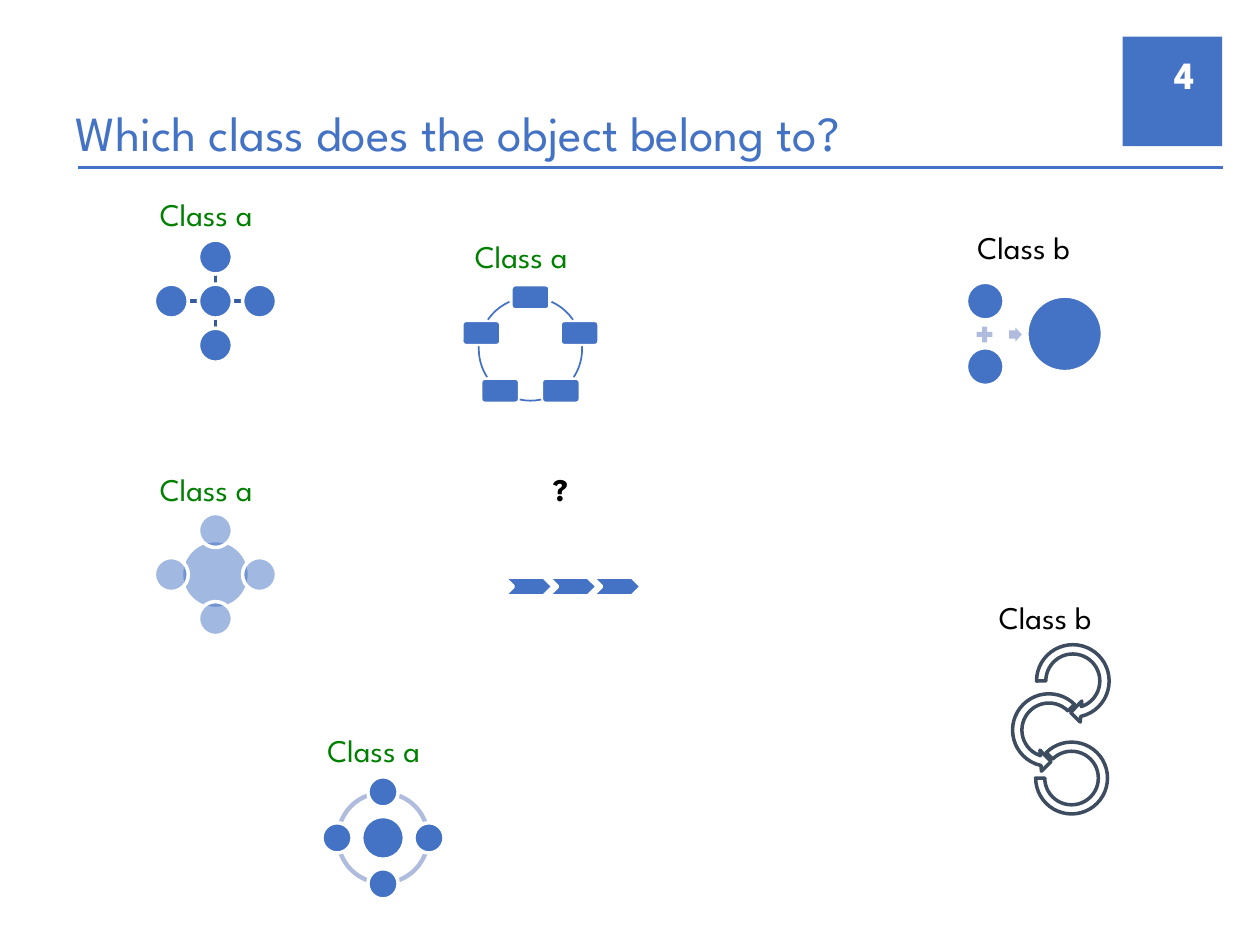
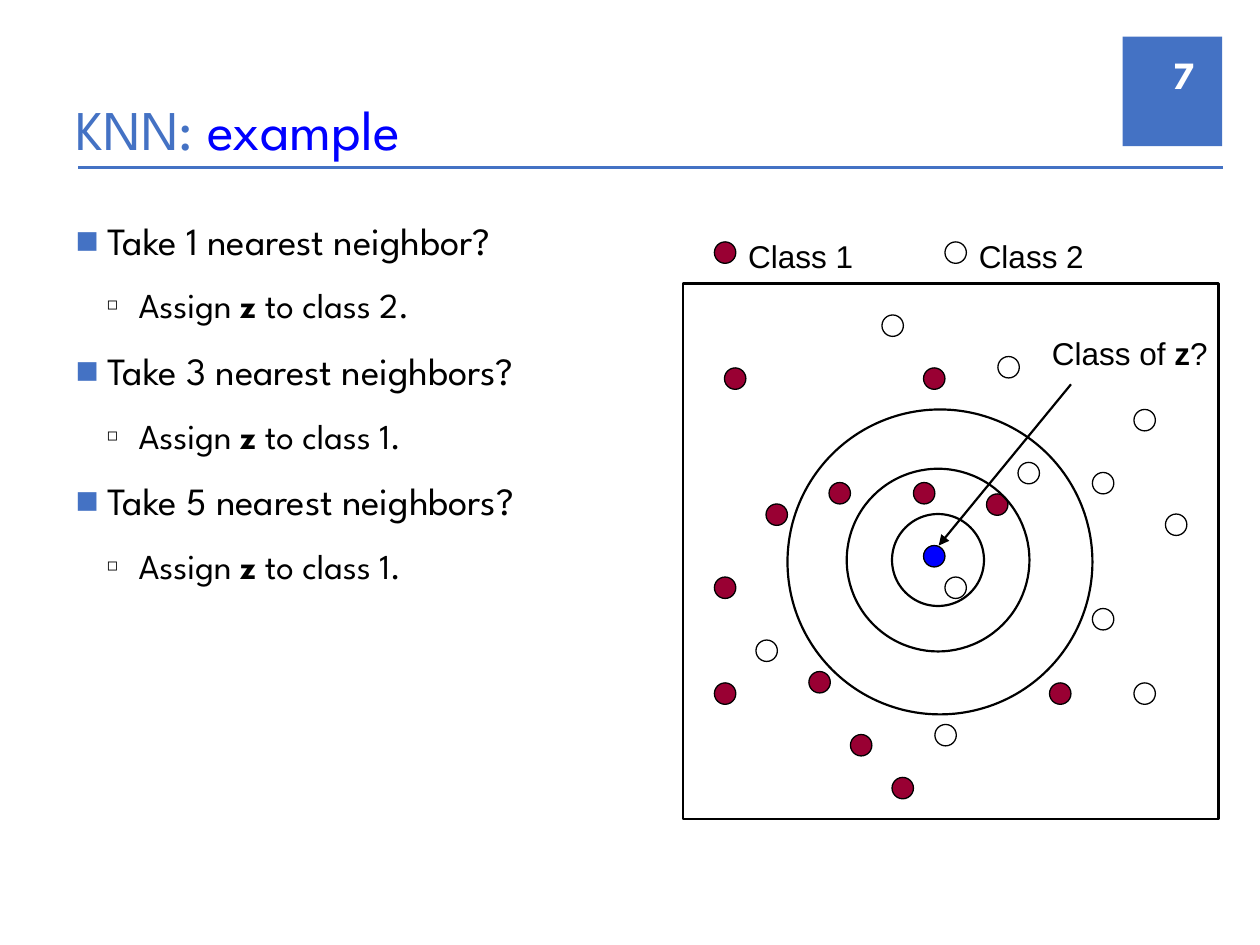
"""Build two slides about nearest-neighbour classification."""
import math
from dataclasses import dataclass
from typing import NamedTuple, Optional

import pptx
import pptx.dml.color
import pptx.enum.shapes
import pptx.enum.text
import pptx.oxml.ns
import pptx.util
from lxml import etree

Inches = pptx.util.Inches
SHAPE = pptx.enum.shapes.MSO_SHAPE
ALIGN = pptx.enum.text.PP_ALIGN
ANCHOR = pptx.enum.text.MSO_ANCHOR
qn = pptx.oxml.ns.qn

BLUE, PALE, DEEP, SLATE = "4472C4", "B0BCDE", "365B9D", "3E4C60"
WHITE, BLACK, GREEN, RED, PURE_BLUE = "FFFFFF", "000000", "008000", "990033", "0000FF"
FONT, PLOT_FONT = "League Spartan", "Arial"
DIRECTIONS = [(0, -1), (1, 0), (0, 1), (-1, 0)]
DOT = 0.17


class Part(NamedTuple):
    text: str
    color: str = BLACK
    bold: bool = False


@dataclass
class Look:
    fill: Optional[str] = None
    line: Optional[str] = None
    width: float = 2
    alpha: int = 100


@dataclass
class Label:
    text: str
    x: float
    y: float
    w: float = 1.08
    color: str = GREEN
    bold: bool = False


SOLID = Look(BLUE, WHITE)
GLASS = Look(BLUE, WHITE, alpha=50)
PLAIN = Look(PALE)
OUTLINE = Look(WHITE, SLATE)

LABELS = [
    Label("?", 4.29, 3.68, 0.67, BLACK, True),
    Label("Class a", 2.5, 5.75),
    Label("Class b", 7.83, 4.7, 1.17, BLACK),
    Label("Class b", 7.66, 1.76, 1.17, BLACK),
    Label("Class a", 3.67, 1.83),
    Label("Class a", 1.17, 3.68),
    Label("Class a", 1.17, 1.5),
]
CLASS_1 = [(6.58, 3.83), (6.08, 4), (6.42, 5.33), (7.83, 3.92), (5.75, 2.92), (5.67, 5.42),
           (7.25, 3.83), (7.33, 2.92), (5.67, 4.58), (8.33, 5.42), (6.75, 5.83), (7.08, 6.17)]
CLASS_2 = [(9, 3.25), (7.5, 4.58), (8.67, 4.83), (7.42, 5.75), (9.25, 4.08), (8.08, 3.67),
           (7, 2.5), (6, 5.08), (9, 5.42), (8.67, 3.75), (7.92, 2.83)]
QUESTIONS = [("1 nearest neighbor", 2), ("3 nearest neighbors", 1), ("5 nearest neighbors", 1)]


def rgb(color: str):
    return pptx.dml.color.RGBColor.from_string(color)


def draw(shapes, kind, x: float, y: float, w: float, h: float, look: Look, adj=()):
    sp = shapes.add_shape(kind, Inches(x), Inches(y), Inches(w), Inches(h))
    sp.shadow.inherit = False
    for i, value in enumerate(adj):
        sp.adjustments[i] = value
    if look.fill:
        sp.fill.solid()
        sp.fill.fore_color.rgb = rgb(look.fill)
        if look.alpha < 100:
            color = sp._element.spPr.find(qn("a:solidFill"))[0]
            etree.SubElement(color, qn("a:alpha"), val=str(look.alpha * 1000))
    else:
        sp.fill.background()
    if look.line:
        sp.line.color.rgb = rgb(look.line)
        sp.line.width = pptx.util.Pt(look.width)
    else:
        sp.line.fill.background()
    return sp


def circle(shapes, cx: float, cy: float, d: float, look: Look):
    return draw(shapes, SHAPE.OVAL, cx - d / 2, cy - d / 2, d, d, look)


def connect(shapes, x1: float, y1: float, x2: float, y2: float, color: str, width: float, arrow=False):
    c = shapes.add_connector(pptx.enum.shapes.MSO_CONNECTOR.STRAIGHT,
                             Inches(x1), Inches(y1), Inches(x2), Inches(y2))
    c.line.color.rgb = rgb(color)
    c.line.width = pptx.util.Pt(width)
    if arrow:
        etree.SubElement(c.line._get_or_add_ln(), qn("a:tailEnd"), type="triangle")
    etree.SubElement(c._element.spPr, qn("a:effectLst"))


def write(p, parts: list[Part], size: float, font: str = FONT):
    for part in parts:
        r = p.add_run()
        r.text = part.text
        r.font.size = pptx.util.Pt(size)
        r.font.name = font
        r.font.bold = part.bold
        r.font.color.rgb = rgb(part.color)


def text_box(shapes, x: float, y: float, w: float, parts: list[Part], size: float = 18, font: str = FONT):
    tb = shapes.add_textbox(Inches(x), Inches(y), Inches(w), Inches(0.4))
    tb.text_frame.word_wrap = True
    write(tb.text_frame.paragraphs[0], parts, size, font)
    return tb


def place(ph, x: float, y: float, w: float, h: float, anchor):
    ph.left, ph.top, ph.width, ph.height = Inches(x), Inches(y), Inches(w), Inches(h)
    tf = ph.text_frame
    tf.word_wrap = True
    tf.auto_size = pptx.enum.text.MSO_AUTO_SIZE.NONE
    tf.vertical_anchor = anchor
    return tf


def start_slide(prs, layout: int, title: list[Part], size: float, number: int):
    s = prs.slides.add_slide(prs.slide_layouts[layout])
    draw(s.shapes, SHAPE.RECTANGLE, 8.91, 0.29, 0.79, 0.87, Look(BLUE))
    p = place(s.shapes.title, 0.5, 0.5, 9.25, 0.83, ANCHOR.BOTTOM).paragraphs[0]
    p.alignment = ALIGN.LEFT
    write(p, title, size)
    connect(s.shapes, 0.62, 1.33, 9.71, 1.33, BLUE, 2)
    tf = text_box(s.shapes, 9.03, 0.39, 0.55, [Part(str(number), WHITE, True)], 22).text_frame
    tf.vertical_anchor = ANCHOR.MIDDLE
    tf.paragraphs[0].alignment = ALIGN.RIGHT
    return s


def satellites(shapes, cx: float, cy: float, core: float, d: float, radius: float, look: Look):
    circle(shapes, cx, cy, core, look)
    for dx, dy in DIRECTIONS:
        circle(shapes, cx + radius * dx, cy + radius * dy, d, look)


def spoked_hub(shapes, cx: float, cy: float):
    for dx, dy in DIRECTIONS:
        connect(shapes, cx + 0.13 * dx, cy + 0.13 * dy, cx + 0.22 * dx, cy + 0.22 * dy, DEEP, 2)
    satellites(shapes, cx, cy, 0.27, 0.27, 0.35, SOLID)


def box_cycle(shapes, cx: float, cy: float):
    radius = 0.41
    for i in range(5):
        angle = math.radians(72 * i - 90)
        x, y = cx + radius * math.cos(angle), cy + radius * math.sin(angle)
        draw(shapes, SHAPE.ROUNDED_RECTANGLE, x - 0.155, y - 0.1, 0.31, 0.2, SOLID)
    for begin, end in [(294, 325.5), (357, 33), (78, 102), (147, 183), (214.5, 246)]:
        draw(shapes, SHAPE.ARC, cx - radius, cy - radius, 2 * radius, 2 * radius,
             Look(line=BLUE, width=1), (begin * 0.6, end * 0.6))


def ring_hub(shapes, cx: float, cy: float):
    for begin in (108, 54, 0, 162):
        draw(shapes, SHAPE.BLOCK_ARC, cx - 0.375, cy - 0.375, 0.75, 0.75, PLAIN,
             (begin, (begin + 54) % 216, 0.046))
    satellites(shapes, cx, cy, 0.34, 0.24, 0.365, SOLID)


def equation(shapes):
    for cy in (2.39, 2.91):
        circle(shapes, 7.82, cy, 0.3, SOLID)
    draw(shapes, SHAPE.MATH_PLUS, 7.73, 2.57, 0.17, 0.17, PLAIN)
    draw(shapes, SHAPE.RIGHT_ARROW, 8.01, 2.6, 0.1, 0.11, PLAIN, (0.6, 0.5))
    circle(shapes, 8.45, 2.65, 0.6, SOLID)


def winding_arrows(shapes):
    draw(shapes, SHAPE.CIRCULAR_ARROW, 8.18, 5.07, 0.67, 0.67, OUTLINE, (0.11, 11.423, 45, 108, 0.125))
    draw(shapes, SHAPE.LEFT_CIRCULAR_ARROW, 7.99, 5.46, 0.67, 0.67, OUTLINE, (0.11, 11.423, 63, 189, 0.125))
    draw(shapes, SHAPE.BLOCK_ARC, 8.22, 5.89, 0.57, 0.57, OUTLINE, (135, 108, 0.127))


def chevron_row(shapes):
    for i in range(3):
        draw(shapes, SHAPE.CHEVRON, 4 + 0.35 * i, 4.58, 0.39, 0.15, SOLID)


def classes_slide(prs):
    s = start_slide(prs, 5, [Part("Which class does the object belong to?", BLUE)], 28, 4)

    def group():
        return s.shapes.add_group_shape().shapes

    spoked_hub(group(), 1.71, 2.39)
    satellites(group(), 1.71, 4.56, 0.54, 0.27, 0.35, GLASS)
    box_cycle(group(), 4.21, 2.77)
    chevron_row(group())
    ring_hub(group(), 3.04, 6.65)
    equation(group())
    winding_arrows(group())
    for label in LABELS:
        text_box(s.shapes, label.x, label.y, label.w, [Part(label.text, label.color, label.bold)])


def bullet(p, level: int, char: str, color: str, percent: int):
    p.level = level
    p.space_before = pptx.util.Pt(12)
    pPr = p._p.get_or_add_pPr()
    pPr.set("marL", str(Inches(0.25 * (level + 1))))
    pPr.set("indent", str(Inches(-0.25)))
    bu = etree.SubElement(pPr, qn("a:buClr"))
    etree.SubElement(bu, qn("a:srgbClr"), val=color)
    etree.SubElement(pPr, qn("a:buSzPct"), val=str(percent * 1000))
    etree.SubElement(pPr, qn("a:buChar"), char=char)


def question_list(ph):
    tf = place(ph, 0.5, 1.67, 9.25, 5.83, ANCHOR.TOP)
    for i, (neighbors, answer) in enumerate(QUESTIONS):
        p = tf.add_paragraph() if i else tf.paragraphs[0]
        bullet(p, 0, "■", BLUE, 100)
        write(p, [Part(f"Take {neighbors}?")], 22)
        p = tf.add_paragraph()
        bullet(p, 1, "◻", BLACK, 50)
        write(p, [Part("Assign "), Part("z", bold=True), Part(f" to class {answer}.")], 20)


def knn_slide(prs):
    s = start_slide(prs, 1, [Part("KNN: ", BLUE), Part("example", PURE_BLUE)], 32, 7)
    question_list(s.placeholders[1])
    plot = s.shapes.add_group_shape().shapes
    for fill, points in ((RED, CLASS_1), (None, CLASS_2), (PURE_BLUE, [(7.33, 4.33)])):
        for x, y in points:
            draw(plot, SHAPE.OVAL, x, y, DOT, DOT, Look(fill, BLACK, 0.75))
    draw(plot, SHAPE.RECTANGLE, 5.42, 2.25, 4.25, 4.25, Look(line=BLACK, width=1.5))
    connect(plot, 8.5, 3.05, 7.45, 4.33, BLACK, 1.25, arrow=True)
    text_box(plot, 8.25, 2.6, 1.5, [Part("Class of "), Part("z", bold=True), Part("?")], font=PLOT_FONT)
    for name, x, fill in (("Class 1", 5.67, RED), ("Class 2", 7.5, None)):
        draw(plot, SHAPE.OVAL, x, 1.92, DOT, DOT, Look(fill, BLACK, 0.75))
        text_box(plot, x + 0.17, 1.83, 1.17, [Part(name)], font=PLOT_FONT)
    for x, y, d in ((6.25, 3.25, 2.42), (6.72, 3.72, 1.45), (7.08, 4.08, 0.73)):
        draw(plot, SHAPE.OVAL, x, y, d, d, Look(line=BLACK, width=1.25))


def main():
    prs = pptx.Presentation()
    prs.slide_width, prs.slide_height = Inches(10), Inches(7.5)
    classes_slide(prs)
    knn_slide(prs)
    prs.save("out.pptx")


if __name__ == "__main__":
    main()
